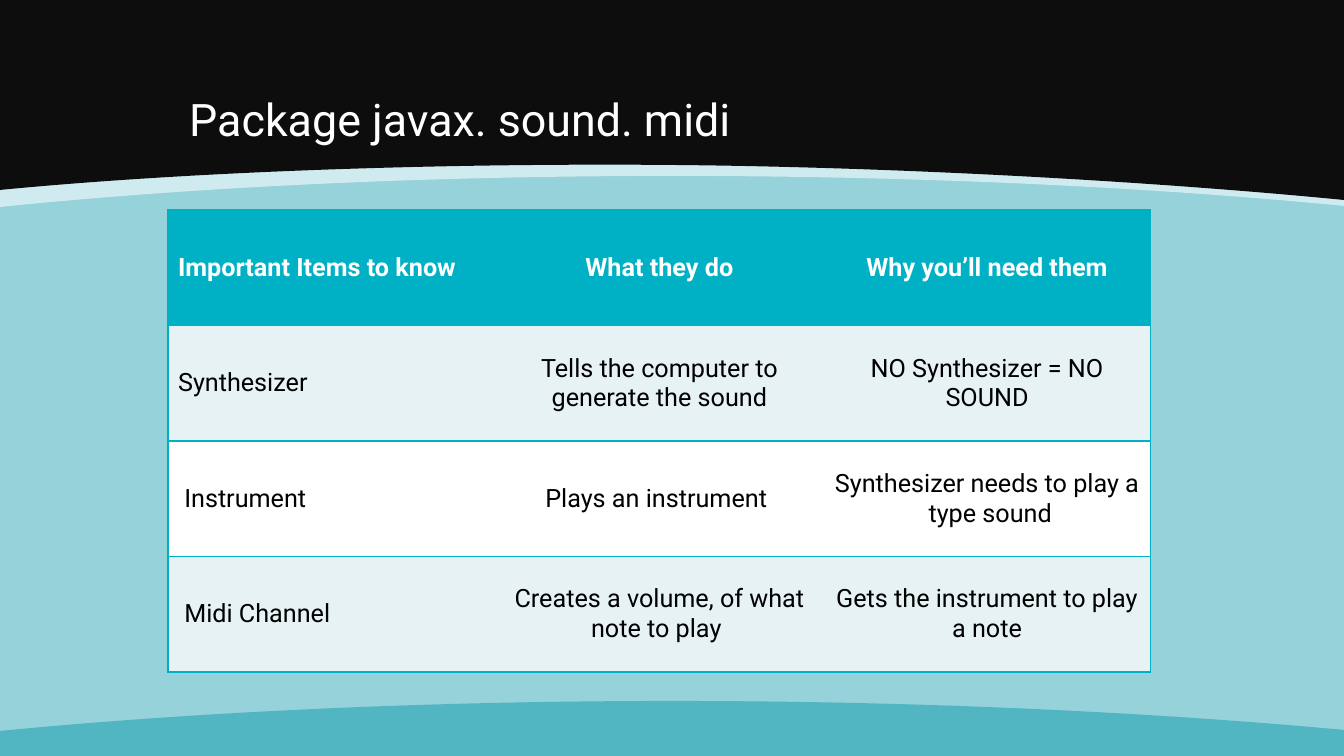
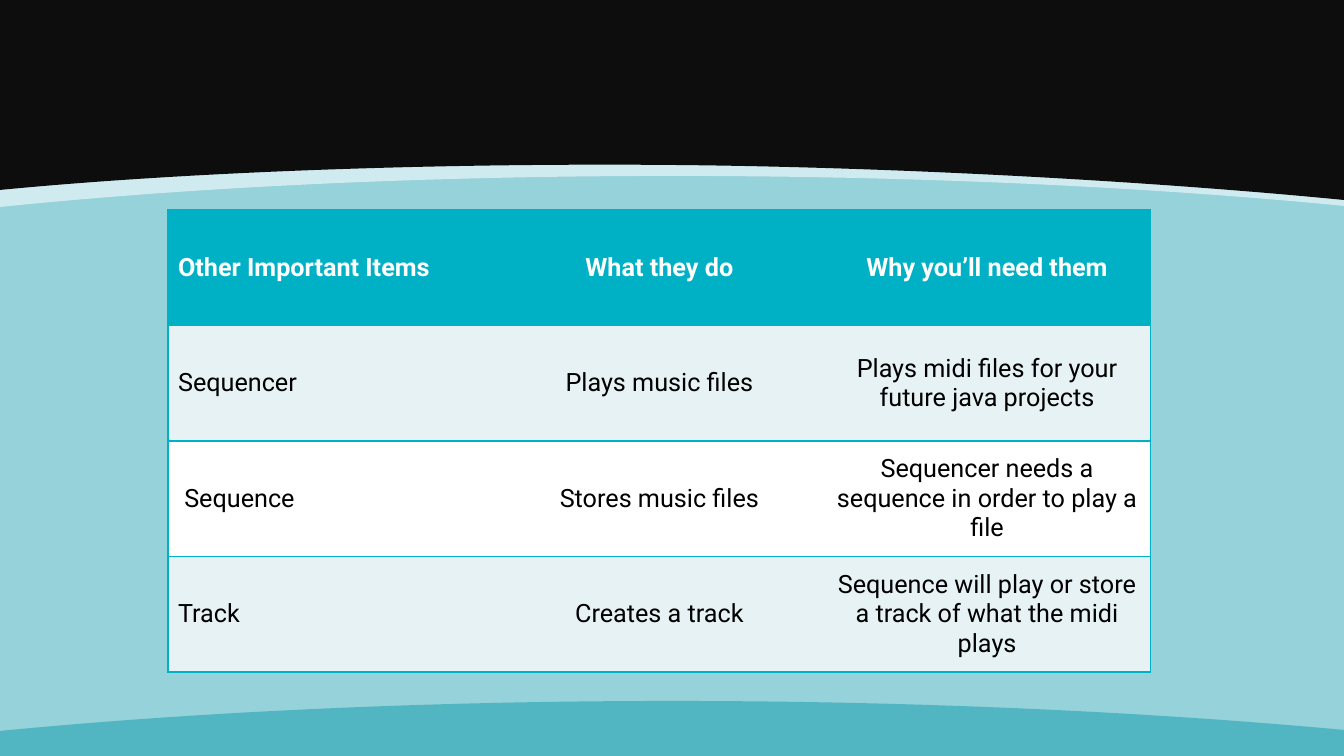
from lxml.etree import SubElement
from pptx import Presentation
from pptx.dml.color import RGBColor
from pptx.enum.text import MSO_ANCHOR as Anchor, PP_ALIGN as Align
from pptx.oxml import parse_xml
from pptx.oxml.ns import nsdecls, qn
from pptx.util import Emu, Pt

# Shared look
WIDE, HIGH = 1344, 756
SCALE = 914400 / 100.8
FONT = "Roboto"
HEX = {
    "back": "96D2DA", "mist": "EAF6F8", "night": "0D0D0D", "foot": "52B5C2",
    "teal": "00B1C5", "pale": "E7F2F5", "white": "FFFFFF", "black": "000000",
}
TITLE_BOX = (168, 30, 1008, 121)
TABLE_BOX = (168, 210, 983, 462)

# Bands: straight edge, colour, opacity in percent, two joined Bezier curves
BANDS = [
    (0, "mist", 70, [(1344, 206), (1149, 187), (919, 176), (673, 176),
                     (427, 176), (196, 187), (0, 207)]),
    (0, "night", 100, [(1344, 200), (1149, 181), (896, 167), (673, 165),
                       (449, 163), (196, 171), (0, 190)]),
    (HIGH, "foot", 100, [(1344, 730), (1149, 712), (919, 701), (673, 701),
                         (427, 701), (196, 712), (0, 731)]),
]

# Slide content: title, table rows
SLIDES = [
    (" Package javax. sound. midi", [
        ("Important Items to know", "What they do", "Why you’ll need them"),
        ("Synthesizer", "Tells the computer to generate the sound",
         "NO Synthesizer = NO SOUND"),
        (" Instrument", "Plays an instrument ",
         "Synthesizer needs to play a  type sound"),
        (" Midi Channel", "Creates a volume, of what note to play ",
         "Gets the instrument to play a note"),
    ]),
    (None, [
        ("Other Important Items", "What they do", "Why you’ll need them"),
        ("Sequencer", "Plays music files",
         "Plays midi files for your future java projects"),
        (" Sequence", "Stores music files",
         "Sequencer needs a sequence in order to play a file"),
        ("Track", "Creates a track",
         "Sequence will play or store a track of what the midi plays"),
    ]),
]


def px(n):
    return Emu(round(n * SCALE))


def rgb(name):
    return RGBColor.from_string(HEX[name])


def paint(fill, name):
    fill.solid()
    fill.fore_color.rgb = rgb(name)


def style(frame, color, size, bold=False, **para):
    """Format the only paragraph of a text frame."""
    line = frame.paragraphs[0]
    for key, val in para.items():
        setattr(line, key, val)
    font = line.runs[0].font
    for key, val in {"name": FONT, "size": Pt(size), "bold": bold}.items():
        setattr(font, key, val)
    font.color.rgb = rgb(color)


def bend(band, curve):
    """Turn the last two straight segments of a band into cubic curves."""
    lines = band.element.findall(".//" + qn("a:lnTo"))[-2:]
    for i, line in enumerate(lines):
        line.tag = qn("a:cubicBezTo")
        first, second = curve[3 * i + 1:3 * i + 3]
        for n, (x, y) in enumerate((first, second)):
            dot = SubElement(line, qn("a:pt"), x=str(px(x) - band.left),
                             y=str(px(y) - band.top))
            line.insert(n, dot)


def add_band(slide, edge, color, alpha, curve):
    pen = slide.shapes.build_freeform(px(0), px(edge))
    dots = [(WIDE, edge)] + curve[::3]
    pen.add_line_segments([(px(x), px(y)) for x, y in dots])
    band = pen.convert_to_shape()
    bend(band, curve)
    band.shadow.inherit = False
    band.line.fill.background()
    paint(band.fill, color)
    if alpha < 100:
        tint = band.element.spPr.find(".//" + qn("a:srgbClr"))
        SubElement(tint, qn("a:alpha"), val=str(alpha * 1000))
    return band


def dress_master(deck, slide):
    """Draw the backdrop once and hand its bands to the master."""
    master = deck.slide_master
    paint(master.background.fill, "back")
    tree = master.shapes.element
    for i, spec in enumerate(BANDS):
        tree.insert(2 + i, add_band(slide, *spec).element)


def add_title(slide, text):
    title = slide.shapes.title
    title.left, title.top, title.width, title.height = map(px, TITLE_BOX)
    title.text_frame.text = text
    title.text_frame.vertical_anchor = Anchor.BOTTOM
    style(title.text_frame, "white", 32, alignment=Align.LEFT,
          line_spacing=0.9)


def rule(cell, sides):
    """Draw teal rules on the given sides and clear the others."""
    props = cell._tc.get_or_add_tcPr()
    for i, side in enumerate("LRTB"):
        ink = (f'<a:solidFill><a:srgbClr val="{HEX["teal"]}"/></a:solidFill>'
               if side in sides else "<a:noFill/>")
        props.insert(i, parse_xml(
            f'<a:ln{side} {nsdecls("a")} w="12700">{ink}</a:ln{side}>'))


def add_grid(slide, rows):
    cols = len(rows[0])
    table = slide.shapes.add_table(len(rows), cols,
                                   *map(px, TABLE_BOX)).table
    table.first_row = table.horz_banding = False
    for r, row in enumerate(rows):
        head = r == 0
        fill = "teal" if head else "pale" if r % 2 else "white"
        for c, text in enumerate(row):
            cell = table.cell(r, c)
            cell.text = text
            cell.vertical_anchor = Anchor.MIDDLE
            paint(cell.fill, fill)
            rule(cell, "TB" + "L" * (c == 0) + "R" * (c == cols - 1))
            style(cell.text_frame, "white" if head else "black", 18, head,
                  alignment=Align.CENTER if c else Align.LEFT)


def main():
    deck = Presentation()
    deck.slide_width, deck.slide_height = px(WIDE), px(HIGH)
    only, blank = deck.slide_layouts[5], deck.slide_layouts[6]
    for i, (title, rows) in enumerate(SLIDES):
        slide = deck.slides.add_slide(only if title else blank)
        if i == 0:
            dress_master(deck, slide)
        if title:
            add_title(slide, title)
        add_grid(slide, rows)
    deck.save("out.pptx")


if __name__ == "__main__":
    main()
